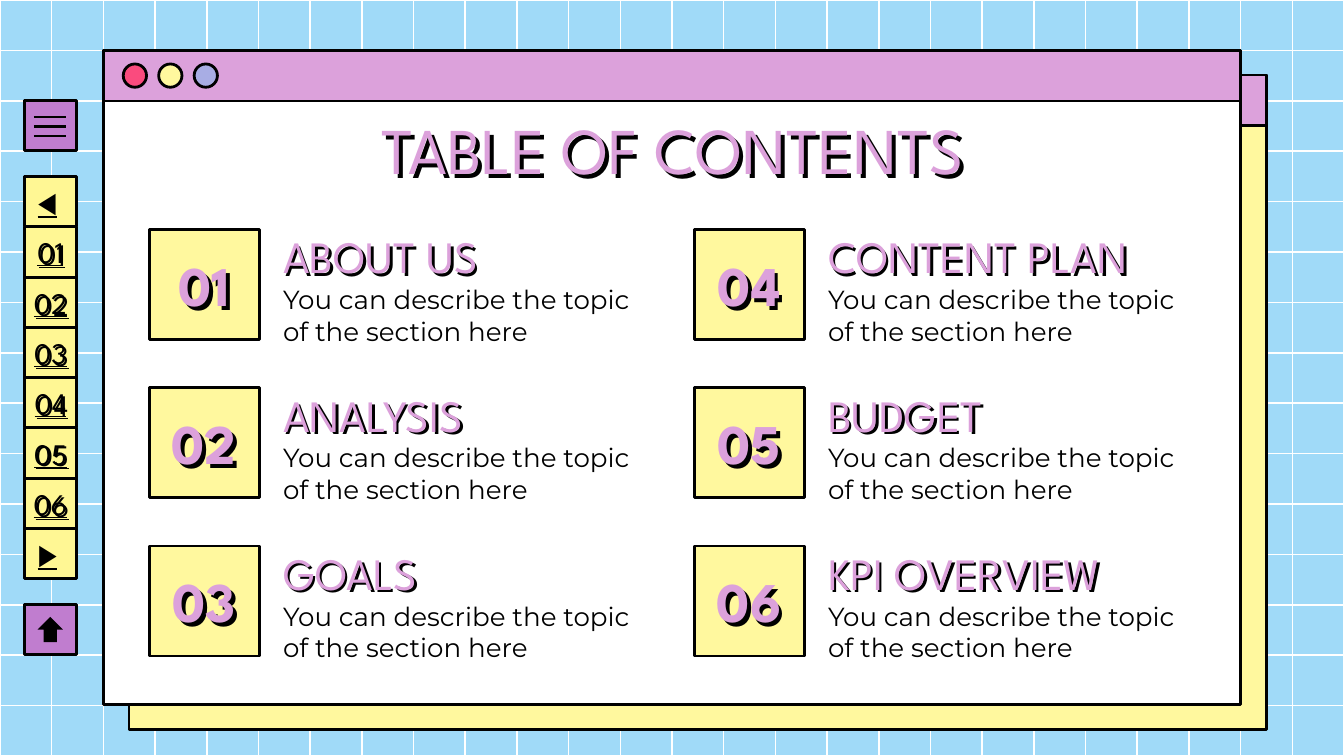
import pptx
import pptx.util
import pptx.dml.color
import pptx.enum.shapes
import pptx.enum.text
import pptx.oxml
import pptx.oxml.ns

Cm = pptx.util.Cm
Pt = pptx.util.Pt
SHAPE = pptx.enum.shapes.MSO_SHAPE
ALIGN = pptx.enum.text.PP_ALIGN
ANCHOR = pptx.enum.text.MSO_ANCHOR

WIDTH, HEIGHT = 25.4, 14.29
BLACK, WHITE, PINK, PURPLE = "000000", "FFFFFF", "DCA1DB", "C07DCF"
YELLOW, NAV_YELLOW = "FFF89E", "FFF794"
INSET = 0.25

TITLE = {"name": "League Spartan", "size": Pt(35)}
HEADING = {"name": "League Spartan", "size": Pt(24)}
NUMBER = {"name": "League Spartan", "size": Pt(30), "bold": True}
BODY = {"name": "Montserrat", "size": Pt(14)}
NAV_NUMBER = {"name": "League Spartan", "size": Pt(16), "underline": True}
NAV_ARROW = {"name": "Arial", "size": Pt(16), "underline": True}


def rgb(value):
    return pptx.dml.color.RGBColor.from_string(value)


class Deck:
    """Holds the style and the current slide."""

    def __init__(self, prs, background):
        self.s = prs.slides.add_slide(prs.slide_layouts[5])
        self.s.background.fill.solid()
        self.s.background.fill.fore_color.rgb = rgb(background)
        self.line_width = 1.5

    def shape(self, x, y, w, h, fill=None, kind=SHAPE.RECTANGLE, line=BLACK, width=None):
        sp = self.s.shapes.add_shape(kind, Cm(x), Cm(y), Cm(w), Cm(h))
        sp.shadow.inherit = False
        if fill:
            sp.fill.solid()
            sp.fill.fore_color.rgb = rgb(fill)
        else:
            sp.fill.background()
        if line:
            sp.line.color.rgb = rgb(line)
            sp.line.width = Pt(width or self.line_width)
        else:
            sp.line.fill.background()
        return sp

    def line(self, x1, y1, x2, y2, color=BLACK, width=None):
        cxn = self.s.shapes.add_connector(
            pptx.enum.shapes.MSO_CONNECTOR.STRAIGHT, Cm(x1), Cm(y1), Cm(x2), Cm(y2))
        cxn.line.color.rgb = rgb(color)
        cxn.line.width = Pt(width or self.line_width)
        pptx.oxml.ns.qn("a:effectLst")
        cxn._element.spPr.append(pptx.oxml.parse_xml(
            f'<a:effectLst {pptx.oxml.ns.nsdecls("a")}/>'))

    def fill_text(self, sp, text, style, color=BLACK, align=ALIGN.LEFT,
                  anchor=ANCHOR.MIDDLE, left=INSET, right=0):
        tf = sp.text_frame
        frame = {"word_wrap": True, "auto_size": pptx.enum.text.MSO_AUTO_SIZE.NONE,
                 "vertical_anchor": anchor, "margin_left": Cm(left),
                 "margin_right": Cm(right), "margin_top": Cm(INSET),
                 "margin_bottom": Cm(INSET)}
        for name, value in frame.items():
            setattr(tf, name, value)
        p = tf.paragraphs[0]
        p.alignment = align
        r = p.add_run()
        r.text = text
        for name, value in style.items():
            setattr(r.font, name, value)
        r.font.color.rgb = rgb(color)

    def text(self, x, y, w, h, text, style, shadow=0, **layout):
        sp = self.s.shapes.add_textbox(Cm(x), Cm(y), Cm(w), Cm(h))
        self.fill_text(sp, text, style, **layout)
        if shadow:
            self.drop_shadow(sp, shadow)

    def title(self, x, y, w, h, text):
        sp = self.s.shapes.title
        sp.left, sp.top, sp.width, sp.height = Cm(x), Cm(y), Cm(w), Cm(h)
        self.fill_text(sp, text, TITLE, PINK, ALIGN.CENTER, ANCHOR.BOTTOM, left=0)
        self.drop_shadow(sp, 3)
        # Bring the title in front of the window drawn before it
        tree = self.s.shapes._spTree
        tree.append(sp._element)

    def drop_shadow(self, sp, distance):
        sp.shadow.inherit = False
        effects = sp._element.spPr.find(pptx.oxml.ns.qn("a:effectLst"))
        effects.append(pptx.oxml.parse_xml(
            f'<a:outerShdw {pptx.oxml.ns.nsdecls("a")} dist="{Pt(distance)}" dir="2700000" '
            f'algn="bl" rotWithShape="0"><a:srgbClr val="{BLACK}"/></a:outerShdw>'))


def main():
    prs = pptx.Presentation()
    prs.slide_width, prs.slide_height = Cm(WIDTH), Cm(HEIGHT)
    deck = Deck(prs, "A0DAF8")

    # Background grid
    rows, columns = 15, 26
    deck.shape(0, 0, WIDTH, HEIGHT, line=WHITE, width=0.81)
    for i in range(1, rows):
        y = HEIGHT * i / rows
        deck.line(0, y, WIDTH, y, WHITE, 0.81)
    for i in range(1, columns):
        x = WIDTH * i / columns
        deck.line(x, 0, x, HEIGHT, WHITE, 0.81)

    # Back and front windows, with their title bars
    for x, y, fill in ((2.44, 1.42, YELLOW), (1.96, 0.95, WHITE)):
        deck.shape(x, y, 21.49, 12.37, fill)
        deck.shape(x, y, 21.49, 0.96, PINK)
    for i, fill in enumerate(("FA4B7E", YELLOW, "A8ADE4")):
        deck.shape(2.33 + 0.67 * i, 1.21, 0.44, 0.44, fill, SHAPE.OVAL)

    deck.title(2.01, 1.9, 21.41, 1.9, "TABLE OF CONTENTS")

    # Sections, filled column by column
    sections = ["ABOUT US", "ANALYSIS", "GOALS", "CONTENT PLAN", "BUDGET", "KPI OVERVIEW"]
    for i, name in enumerate(sections):
        column, row = divmod(i, 3)
        x, y = 2.82 + 10.3 * column, 4.34 + 2.99 * row
        deck.shape(x, y, 2.08, 2.08, YELLOW)
        deck.text(x, y + 0.42, 2.08, 1.22, f"{i + 1:02}", NUMBER, shadow=3,
                  color=PINK, align=ALIGN.CENTER, right=INSET)
        deck.text(x + 2.28, y + 0.03, 7.19, 0.94, name, HEADING, shadow=2, color=PINK)
        deck.text(x + 2.28, y + 0.77, 7.19, 1.7,
                  "You can describe the topic of the section here", BODY, anchor=ANCHOR.TOP)

    # Menu button
    nav_x, nav_w, nav_h = 0.46, 0.99, 0.95
    deck.shape(nav_x, 1.9, nav_w, nav_h, PURPLE)
    for i in range(3):
        y = 2.21 + 0.18 * i
        deck.line(0.64, y, 1.24, y)

    # Page buttons
    labels = ["◀"] + [f"{i + 1:02}" for i in range(len(sections))] + ["▶"]
    for i, label in enumerate(labels):
        y = 3.34 + 0.95 * i
        sp = deck.shape(nav_x, y, nav_w, nav_h, NAV_YELLOW)
        if label.isdigit():
            deck.text(nav_x, y + 0.17, nav_w, 0.61, label, NAV_NUMBER, shadow=1.5,
                      align=ALIGN.CENTER, left=0)
        else:
            deck.fill_text(sp, label, NAV_ARROW, right=INSET)

    # Up button
    deck.shape(nav_x, 11.42, nav_w, nav_h, PURPLE)
    arrow = deck.shape(0.71, 11.66, 0.48, 0.48, BLACK, SHAPE.UP_ARROW, line=None)
    arrow.adjustments[0] = 0.52

    prs.save("out.pptx")


if __name__ == "__main__":
    main()
